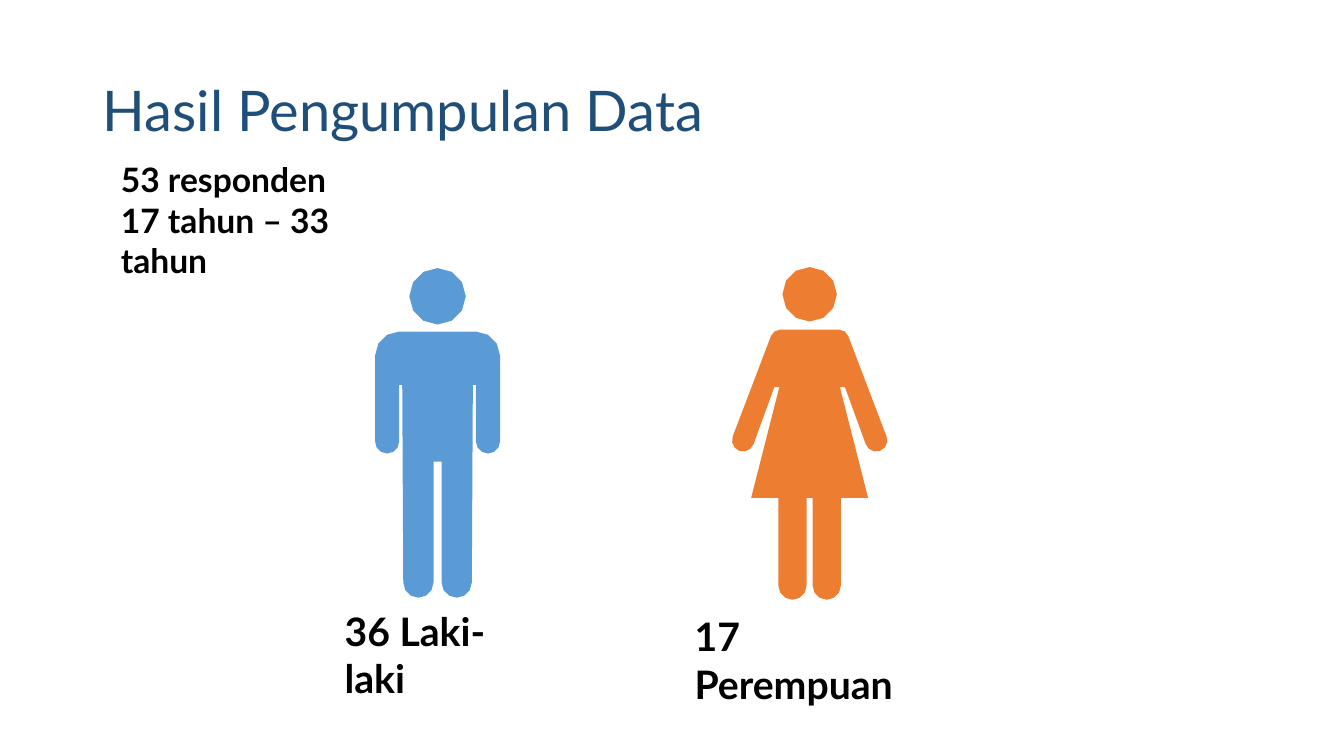
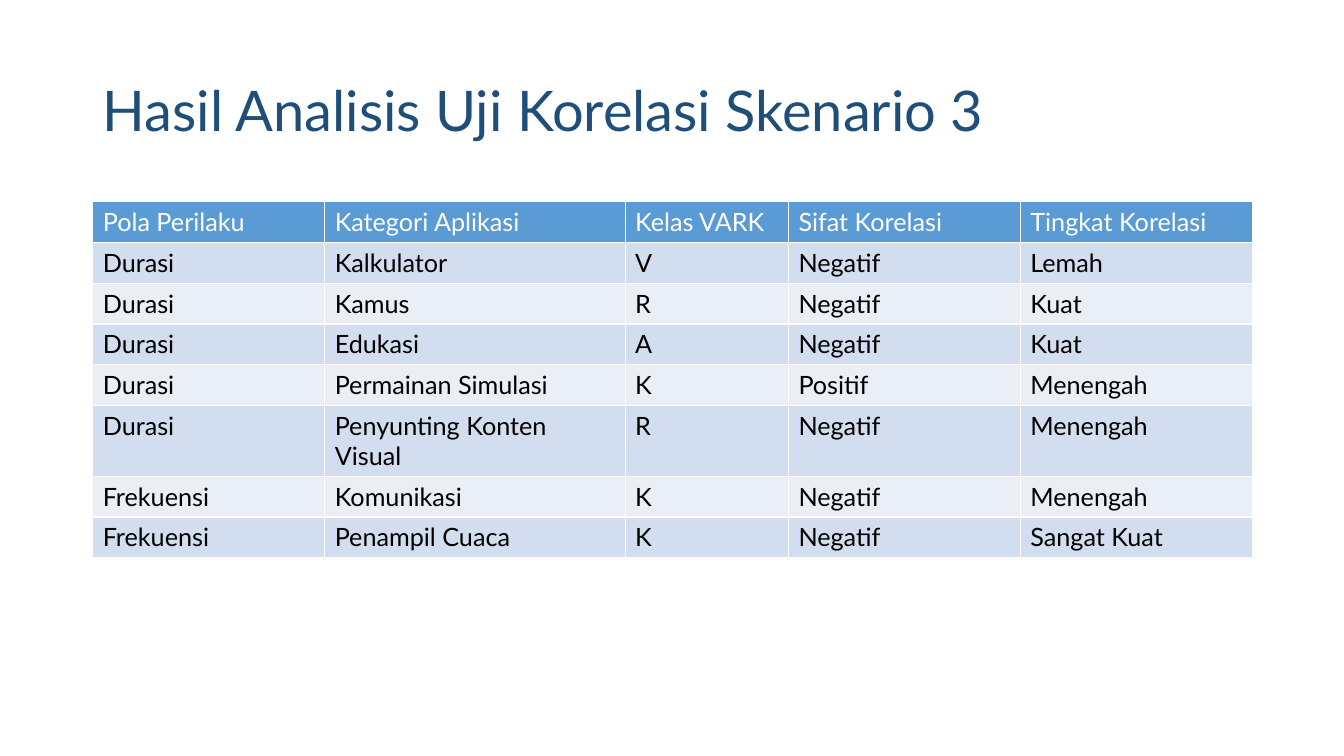
import math

from lxml import etree
from pptx import Presentation
from pptx import util as u
from pptx.dml.color import RGBColor
from pptx.enum import text
from pptx.oxml import ns

BLUE, ORANGE, NAVY = "5B9BD5", "ED7D31", "1F4E79"
BLACK, WHITE = "000000", "FFFFFF"
BANDS = ("D2DEEF", "EAEFF7")


def rgb(value):
    return RGBColor.from_string(value)


def write(frame, content, size=18, color=BLACK, bold=False, spacing=None):
    """Write one paragraph per line of content."""
    for index, line in enumerate(content.split("\n")):
        paragraph = frame.add_paragraph() if index else frame.paragraphs[0]
        paragraph.line_spacing = spacing
        run = paragraph.add_run()
        run.text = line
        run.font.name = "Lato"
        run.font.size = u.Pt(size)
        run.font.bold = bold
        run.font.color.rgb = rgb(color)


def arc(x, y, radius, start, end, step=30):
    """Points on a circle, with angles in degrees, clockwise from the right."""
    count = math.ceil((end - start) / step)
    angles = [math.radians(start + (end - start) * i / count) for i in range(count + 1)]
    return [(x + radius * math.cos(a), y + radius * math.sin(a)) for a in angles]


def set_borders(cell, color=WHITE, width=1):
    """Draw the four borders of a cell; the width is in points."""
    properties = cell._tc.get_or_add_tcPr()
    for position, side in enumerate("LRTB"):
        line = etree.Element(ns.qn(f"a:ln{side}"), w=str(u.Pt(width)))
        fill = etree.SubElement(line, ns.qn("a:solidFill"))
        etree.SubElement(fill, ns.qn("a:srgbClr"), val=color)
        properties.insert(position, line)


class Deck:
    def __init__(self):
        self.prs = Presentation()
        self.prs.slide_width = u.Inches(13.33)
        self.prs.slide_height = u.Inches(7.5)
        self.slide = None

    def add_slide(self, title):
        self.slide = self.prs.slides.add_slide(self.prs.slide_layouts[6])
        self.label(title, 0.92, 0.4, 11.5, 1.45, anchor=text.MSO_ANCHOR.MIDDLE,
                   size=40, color=NAVY, spacing=0.9)

    def label(self, content, x, y, w, h, anchor=text.MSO_ANCHOR.TOP, **style):
        box = self.slide.shapes.add_textbox(*map(u.Inches, (x, y, w, h)))
        frame = box.text_frame
        frame.word_wrap = True
        frame.vertical_anchor = anchor
        write(frame, content, **style)

    def person(self, axis, half_body, head_y, head_radius, color):
        """Mirror the right half of a body around its axis and add a head."""
        mirrored = [(2 * axis - x, y) for x, y in reversed(half_body)]
        head_outline = arc(axis, head_y, head_radius, 0, 360)[:-1]
        body, head = [
            [(u.Inches(x), u.Inches(y)) for x, y in outline]
            for outline in (half_body + mirrored, head_outline)
        ]
        builder = self.slide.shapes.build_freeform(*body[0])
        builder.add_line_segments(body[1:])
        builder.move_to(*head[0])
        builder.add_line_segments(head[1:])
        figure = builder.convert_to_shape()
        figure.shadow.inherit = False
        figure.fill.solid()
        figure.fill.fore_color.rgb = rgb(color)
        figure.line.fill.background()

    def table(self, rows, widths, x, y, w, h):
        table = self.slide.shapes.add_table(
            len(rows), len(widths), *map(u.Inches, (x, y, w, h))).table
        for column, width in zip(table.columns, widths):
            column.width = u.Inches(width)
        for r, row in enumerate(rows):
            header = r == 0
            for c, content in enumerate(row):
                cell = table.cell(r, c)
                cell.fill.solid()
                cell.fill.fore_color.rgb = rgb(BLUE if header else BANDS[(r - 1) % 2])
                set_borders(cell)
                write(cell.text_frame, content, color=WHITE if header else BLACK)


def main():
    deck = Deck()

    # Respondents by gender
    deck.add_slide("Hasil Pengumpulan Data")
    man = [
        *arc(4.72, 3.53, 0.24, -90, 0),        # shoulder
        *arc(4.84, 4.38, 0.12, 0, 180),        # hand
        (4.72, 3.82), (4.69, 3.82),            # armpit
        *arc(4.53, 5.78, 0.15, 0, 180),        # foot
        (4.38, 4.58),
    ]
    woman = [
        *arc(8.32, 3.37, 0.1, -90, -20, 35),   # shoulder
        *arc(8.69, 4.37, 0.11, -20, 160),      # hand
        (8.38, 3.84), (8.33, 3.84),            # armpit
        (8.61, 4.94), (8.34, 4.94),            # skirt
        *arc(8.2, 5.81, 0.14, 0, 180),         # foot
        (8.06, 4.94),
    ]
    deck.person(4.34, man, 2.94, 0.28, BLUE)
    deck.person(8.03, woman, 2.92, 0.27, ORANGE)
    deck.label("36 Laki-laki", 3.32, 5.98, 2.03, 0.57, size=28, bold=True)
    deck.label("53 responden\n17 tahun – 33 tahun", 1.1, 1.53, 2.99, 0.91,
               size=24, bold=True)
    deck.label("17 Perempuan", 6.79, 6.03, 2.51, 0.57, size=28, bold=True)

    # Correlation results
    deck.add_slide("Hasil Analisis Uji Korelasi Skenario 3")
    correlations = [
        ("Pola Perilaku", "Kategori Aplikasi", "Kelas VARK", "Sifat Korelasi",
         "Tingkat Korelasi"),
        ("Durasi", "Kalkulator", "V", "Negatif", "Lemah"),
        ("Durasi", "Kamus", "R", "Negatif", "Kuat"),
        ("Durasi", "Edukasi", "A", "Negatif", "Kuat"),
        ("Durasi", "Permainan Simulasi", "K", "Positif", "Menengah"),
        ("Durasi", "Penyunting Konten Visual", "R", "Negatif", "Menengah"),
        ("Frekuensi", "Komunikasi", "K", "Negatif", "Menengah"),
        ("Frekuensi", "Penampil Cuaca", "K", "Negatif", "Sangat Kuat"),
    ]
    deck.table(correlations, (2.3, 2.98, 1.62, 2.3, 2.3), 0.92, 2, 11.5, 3.24)

    deck.prs.save("out.pptx")


if __name__ == "__main__":
    main()
